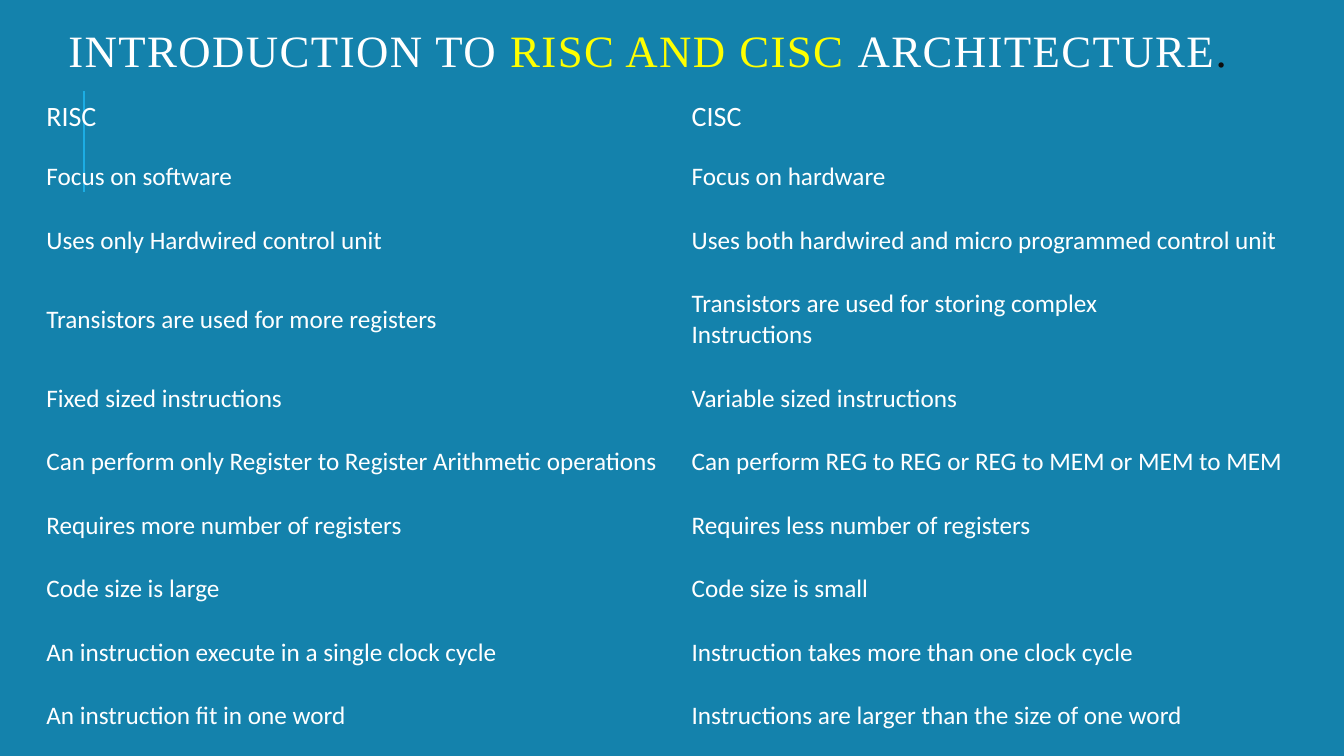
from dataclasses import dataclass

from lxml import etree
from pptx import Presentation
from pptx.dml.color import RGBColor
from pptx.enum import shapes, text
from pptx.oxml.ns import qn
from pptx.util import Inches, Pt

# Content
TITLE = [
    ("INTRODUCTION TO ", "white"),
    ("RISC AND CISC ", "yellow"),
    ("ARCHITECTURE", "white"),
    (".", "dark"),
]
COMPARISON = [
    ("RISC", "CISC"),
    ("Focus on software", "Focus on hardware"),
    ("Uses only Hardwired control unit",
     "Uses both hardwired and micro programmed control unit"),
    ("Transistors are used for more registers",
     "Transistors are used for storing complex\vInstructions"),
    ("Fixed sized instructions", "Variable sized instructions"),
    ("Can perform only Register to Register Arithmetic operations",
     "Can perform REG to REG or REG to MEM or MEM to MEM"),
    ("Requires more number of registers", "Requires less number of registers"),
    ("Code size is large", "Code size is small"),
    ("An instruction execute in a single clock cycle",
     "Instruction takes more than one clock cycle"),
    ("An instruction fit in one word",
     "Instructions are larger than the size of one word"),
]


@dataclass(frozen=True)
class Theme:
    background: RGBColor = RGBColor.from_string("1482AC")
    accent: RGBColor = RGBColor.from_string("1CADE4")
    white: RGBColor = RGBColor.from_string("FFFFFF")
    yellow: RGBColor = RGBColor.from_string("FFFF00")
    dark: RGBColor = RGBColor.from_string("0D0D0D")
    title_font: str = "Times New Roman"
    body_font: str = "Calibri"
    title_size: int = 32
    header_size: int = 20
    body_size: int = 18


THEME = Theme()
NO_GRID_STYLE = "{2D5ABB26-0587-4C30-8999-92F81FD0307C}"
HEADER_HEIGHT, ROW_HEIGHT, EXTRA_LINE = 0.57, 0.63, 0.31


def row_height(index, labels):
    if index == 0:
        return HEADER_HEIGHT
    return ROW_HEIGHT + EXTRA_LINE * max(label.count("\v") for label in labels)


def add_accent_line(slide):
    line = slide.shapes.add_connector(
        shapes.MSO_CONNECTOR.STRAIGHT,
        Inches(0.83), Inches(1.9), Inches(0.83), Inches(0.9))
    line.line.color.rgb = THEME.accent
    line.line.width = Pt(1.5)
    etree.SubElement(line.element.spPr, qn("a:effectLst"))


def add_title(slide):
    box = slide.shapes.add_textbox(
        Inches(0.58), Inches(0.1), Inches(12.39), Inches(0.89))
    frame = box.text_frame
    frame.word_wrap = True
    frame.vertical_anchor = text.MSO_ANCHOR.MIDDLE
    paragraph = frame.paragraphs[0]
    paragraph.line_spacing = 0.8
    paragraph.font.name = THEME.title_font
    paragraph.font.size = Pt(THEME.title_size)
    for words, color in TITLE:
        run = paragraph.add_run()
        run.text = words
        run.font.color.rgb = getattr(THEME, color)
        run.font.element.set("spc", "100") if hasattr(run.font, "element") \
            else run._r.get_or_add_rPr().set("spc", "100")


def fill_cell(cell, label, is_header):
    cell.fill.background()
    cell.vertical_anchor = text.MSO_ANCHOR.MIDDLE
    cell.margin_left = cell.margin_right = Inches(0.1)
    cell.margin_top = cell.margin_bottom = Inches(0.1 if is_header else 0.15)
    cell.text = label
    font = cell.text_frame.paragraphs[0].font
    font.name = THEME.body_font
    font.size = Pt(THEME.header_size if is_header else THEME.body_size)
    font.color.rgb = THEME.white


def add_comparison(slide):
    heights = [row_height(i, labels) for i, labels in enumerate(COMPARISON)]
    frame = slide.shapes.add_table(
        len(COMPARISON), 2, Inches(0.36), Inches(0.87),
        Inches(12.8), Inches(sum(heights)))
    table = frame.table
    table.first_row = table.horz_banding = False
    for style in frame.element.iter(qn("a:tableStyleId")):
        style.text = NO_GRID_STYLE
    for index, labels in enumerate(COMPARISON):
        table.rows[index].height = Inches(heights[index])
        for column, label in enumerate(labels):
            fill_cell(table.cell(index, column), label, index == 0)


def main():
    presentation = Presentation()
    presentation.slide_width = Inches(13.33)
    presentation.slide_height = Inches(7.5)
    slide = presentation.slides.add_slide(presentation.slide_layouts[6])
    slide.background.fill.solid()
    slide.background.fill.fore_color.rgb = THEME.background
    add_accent_line(slide)
    add_title(slide)
    add_comparison(slide)
    presentation.save("out.pptx")


if __name__ == "__main__":
    main()
